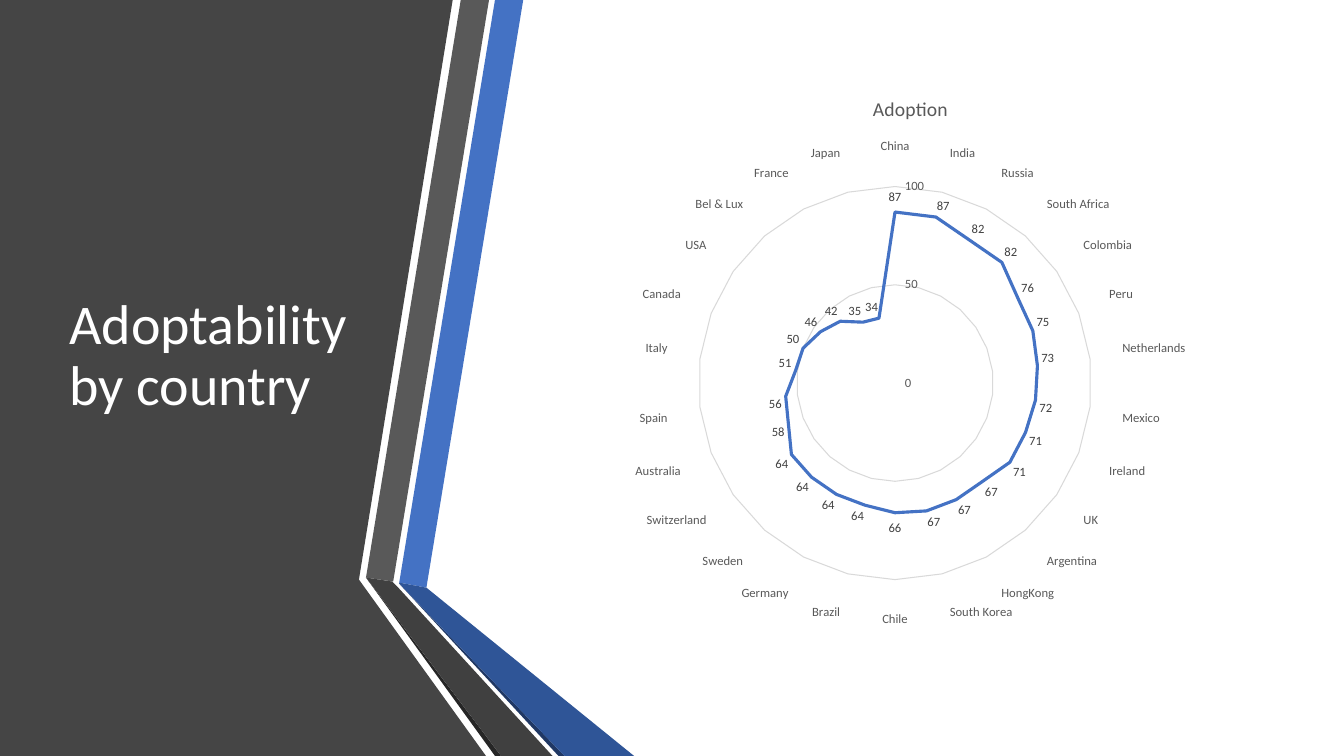
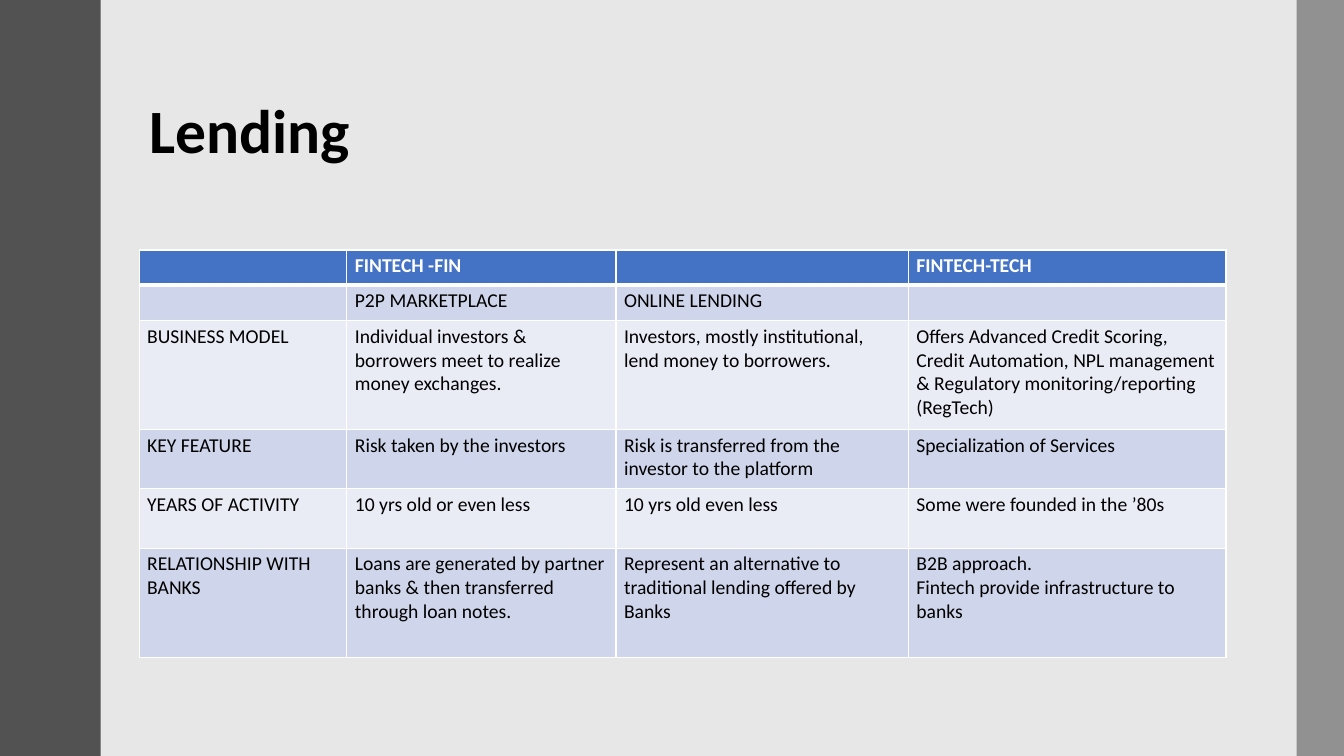
import pptx
import pptx.chart.data
import pptx.dml.color
import pptx.enum.chart
import pptx.enum.shapes
import pptx.enum.text
import pptx.oxml.ns
import pptx.util
from lxml import etree

Inches = pptx.util.Inches
Pt = pptx.util.Pt
qn = pptx.oxml.ns.qn

FONT = "Calibri"
WHITE = "FFFFFF"
BLACK = "000000"
BLUE = "4472C4"
GRAY = "595959"
GRID_GRAY = "D9D9D9"
BAND_COLORS = ("E9EBF5", "CFD5EA")
SLIDE_WIDTH, SLIDE_HEIGHT = 13.33, 7.5

RIBBONS = [
    ("454545", [(0, 0), (4.49, 0), (3.56, 5.75), (4.82, 7.5), (0, 7.5)]),
    (BLUE, [(3.96, 5.78), (4.23, 5.83), (5.19, 0), (4.91, 0)]),
    (GRAY, [(4.85, 0), (4.57, 0), (3.63, 5.73), (3.9, 5.77)]),
    ("262626", [(3.63, 5.73), (4.91, 7.5), (4.97, 7.5)]),
    ("203864", [(3.96, 5.79), (5.54, 7.5), (5.6, 7.5)]),
    ("2F5597", [(3.96, 5.78), (3.96, 5.79), (5.6, 7.5), (6.29, 7.5), (4.23, 5.83)]),
    ("404040", [(3.63, 5.73), (4.97, 7.5), (5.48, 7.5), (3.95, 5.83), (3.89, 5.77)]),
]

ADOPTION = {
    "China": 87, "India": 87, "Russia": 82, "South Africa": 82, "Colombia": 76,
    "Peru": 75, "Netherlands": 73, "Mexico": 72, "Ireland": 71, "UK": 71,
    "Argentina": 67, "HongKong": 67, "South Korea": 67, "Chile": 66, "Brazil": 64,
    "Germany": 64, "Sweden": 64, "Switzerland": 64, "Australia": 58, "Spain": 56,
    "Italy": 51, "Canada": 50, "USA": 46, "Bel & Lux": 42, "France": 35, "Japan": 34,
}

COLUMN_WIDTHS = [2.06, 2.67, 2.9, 3.15]
ROW_HEIGHTS = [0.35, 0.35, 1.08, 0.59, 0.59, 1.08]
LENDING = [
    ["", "FINTECH -FIN", "", "FINTECH-TECH"],
    ["", "P2P MARKETPLACE", "ONLINE LENDING", ""],
    ["BUSINESS MODEL",
     "Individual investors & borrowers meet to realize money exchanges.",
     "Investors, mostly institutional, lend money to borrowers.",
     "Offers Advanced Credit Scoring, Credit Automation, NPL management "
     "& Regulatory monitoring/reporting (RegTech)"],
    ["KEY FEATURE", "Risk taken by the investors",
     "Risk is transferred from the investor to the platform",
     "Specialization of Services"],
    ["YEARS OF ACTIVITY", "10 yrs old or even less", "10 yrs old even less",
     "Some were founded in the ’80s"],
    ["RELATIONSHIP WITH BANKS",
     "Loans are generated by partner banks & then transferred through loan notes.",
     "Represent an alternative to traditional lending offered by Banks",
     "B2B approach.\nFintech provide infrastructure to banks"],
]


def rgb(color):
    return pptx.dml.color.RGBColor.from_string(color)


def style_font(font, size, color, bold=False):
    font.name = FONT
    font.size = Pt(size)
    font.bold = bold
    font.color.rgb = rgb(color)


def add_span(para, text, size, color, bold=False):
    span = para.add_run()
    span.text = text
    style_font(span.font, size, color, bold)


def paint(shape, color, opacity=100):
    """Give a shape a flat fill without outline or shadow."""
    shape.shadow.inherit = False
    shape.line.fill.background()
    shape.fill.solid()
    shape.fill.fore_color.rgb = rgb(color)
    if opacity < 100:
        tint = shape.fill._xPr.find(qn("a:solidFill"))[0]
        etree.SubElement(tint, qn("a:alpha"), val=str(opacity * 1000))


def add_page(deck, background):
    page = deck.slides.add_slide(deck.slide_layouts[6])
    page.background.fill.solid()
    page.background.fill.fore_color.rgb = rgb(background)
    return page


def add_title(page, text, left, top, width, height, size, color, bold=False):
    box = page.shapes.add_textbox(*map(Inches, (left, top, width, height)))
    frame = box.text_frame
    frame.word_wrap = True
    frame.vertical_anchor = pptx.enum.text.MSO_ANCHOR.MIDDLE
    para = frame.paragraphs[0]
    para.line_spacing = 0.9
    add_span(para, text, size, color, bold)


def add_polygon(page, color, points):
    start, *others = [tuple(map(Inches, point)) for point in points]
    builder = page.shapes.build_freeform(*start)
    builder.add_line_segments(others, close=True)
    paint(builder.convert_to_shape(), color)


def add_side_band(page, left, width, color, opacity=100):
    band = page.shapes.add_shape(
        pptx.enum.shapes.MSO_SHAPE.RECTANGLE,
        Inches(left), 0, Inches(width), Inches(SLIDE_HEIGHT))
    paint(band, color, opacity)


def style_axis(axis):
    axis.has_major_gridlines = True
    for line in (axis.format.line, axis.major_gridlines.format.line):
        line.color.rgb = rgb(GRID_GRAY)
        line.width = Pt(0.75)
    style_font(axis.tick_labels.font, 9, GRAY)


def add_radar(page, name, values, left, top, width, height):
    data = pptx.chart.data.CategoryChartData()
    data.categories = list(values)
    data.add_series(name, list(values.values()))
    chart = page.shapes.add_chart(
        pptx.enum.chart.XL_CHART_TYPE.RADAR,
        *map(Inches, (left, top, width, height)), data).chart
    style_font(chart.font, 10, BLACK)
    chart.has_legend = False
    chart.has_title = True
    add_span(chart.chart_title.text_frame.paragraphs[0], name, 14, GRAY)

    style_axis(chart.category_axis)
    style_axis(chart.value_axis)
    chart.value_axis.format.line.fill.background()
    chart.value_axis.minimum_scale = 0
    chart.value_axis.maximum_scale = 100
    chart.value_axis.major_unit = 50

    plot = chart.plots[0]
    plot.vary_by_categories = False
    series = plot.series[0]
    series.smooth = False
    series.format.line.color.rgb = rgb(BLUE)
    series.format.line.width = Pt(2.25)
    series.marker.style = pptx.enum.chart.XL_MARKER_STYLE.NONE
    series.data_labels.show_value = True
    style_font(series.data_labels.font, 9, "404040")


def add_borders(cell, widths):
    """Draw white borders; widths maps the sides L, R, T, B to points."""
    properties = cell._tc.get_or_add_tcPr()
    for side, width in widths.items():
        line = etree.SubElement(properties, qn(f"a:ln{side}"), w=str(Pt(width)))
        fill = etree.SubElement(line, qn("a:solidFill"))
        etree.SubElement(fill, qn("a:srgbClr"), val=WHITE)


def fill_cell(cell, text, row):
    is_header = row == 0
    add_borders(cell, {"L": 1, "R": 1, "T": 3 if row == 1 else 1,
                       "B": 3 if is_header else 1})
    cell.fill.solid()
    cell.fill.fore_color.rgb = rgb(BLUE if is_header else BAND_COLORS[row % 2])
    cell.margin_left = cell.margin_right = Inches(0.08)
    cell.margin_top = cell.margin_bottom = Inches(0.04)
    frame = cell.text_frame
    for index, line in enumerate(text.split("\n")):
        para = frame.add_paragraph() if index else frame.paragraphs[0]
        if line:
            add_span(para, line, 14, WHITE if is_header else BLACK, is_header)
        else:
            etree.SubElement(para._p, qn("a:endParaRPr"), sz="1400")


def add_grid(page, rows, left, top, widths, heights):
    table = page.shapes.add_table(
        len(heights), len(widths), Inches(left), Inches(top),
        Inches(sum(widths)), Inches(sum(heights))).table
    for column, width in zip(table.columns, widths):
        column.width = Inches(width)
    for row, height in enumerate(heights):
        table.rows[row].height = Inches(height)
        for column, text in enumerate(rows[row]):
            fill_cell(table.cell(row, column), text, row)


def add_adoption_page(deck):
    page = add_page(deck, WHITE)
    for color, points in RIBBONS:
        add_polygon(page, color, points)
    add_title(page, "Adoptability by country", 0.59, 0.75, 3.04, 5.58, 40, WHITE)
    add_radar(page, "Adoption", ADOPTION, 5.48, 0.75, 7.1, 5.58)


def add_lending_page(deck):
    page = add_page(deck, "E7E7E7")
    add_title(page, "Lending", 1.38, 0.6, 10.78, 1.45, 44, BLACK, bold=True)
    add_side_band(page, 0, 1, "525252")
    add_side_band(page, 12.86, SLIDE_WIDTH - 12.86, GRAY, opacity=60)
    add_grid(page, LENDING, 1.38, 2.48, COLUMN_WIDTHS, ROW_HEIGHTS)


def main():
    deck = pptx.Presentation()
    deck.slide_width = Inches(SLIDE_WIDTH)
    deck.slide_height = Inches(SLIDE_HEIGHT)
    add_adoption_page(deck)
    add_lending_page(deck)
    deck.save("out.pptx")


if __name__ == "__main__":
    main()
